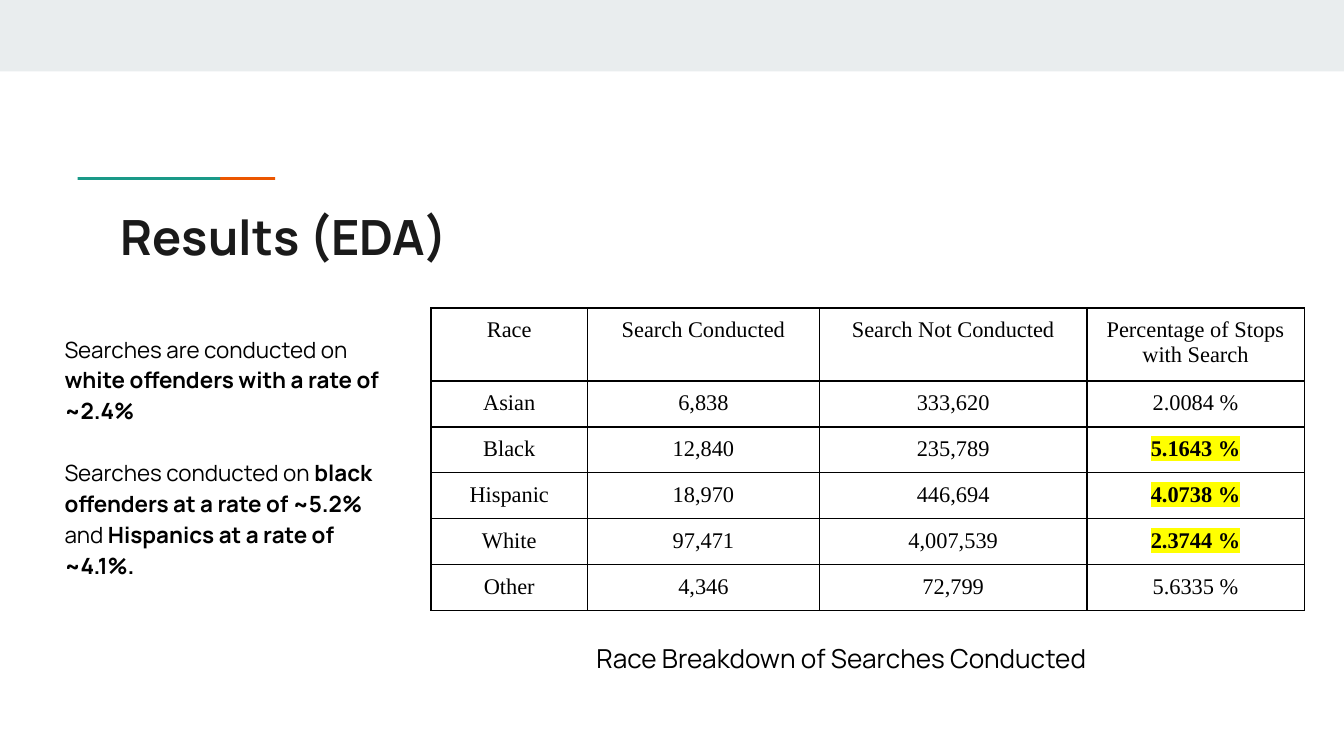
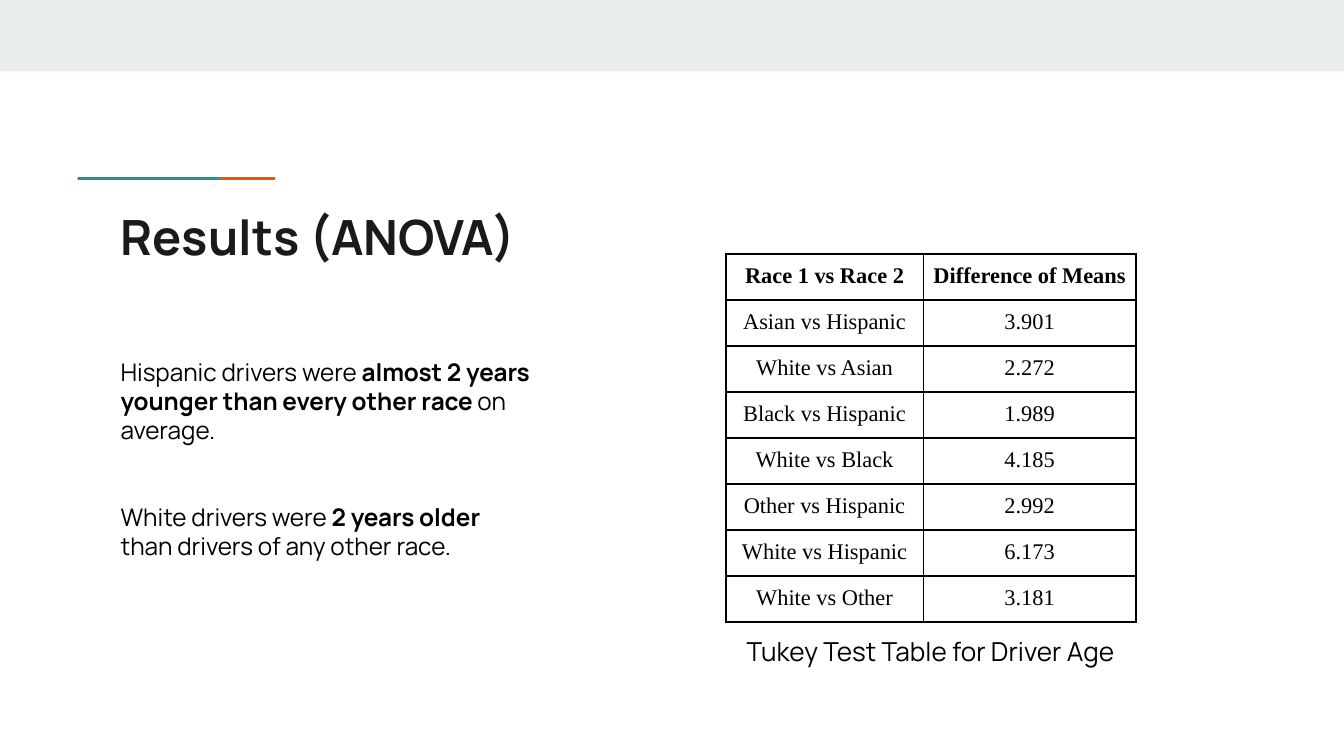
"""Build two slides of traffic stop search results."""
from lxml.etree import SubElement
from pptx import Presentation
from pptx.dml.color import RGBColor
from pptx.enum.shapes import MSO_SHAPE as Preset
from pptx.enum.text import MSO_ANCHOR as Anchor, PP_ALIGN as Align
from pptx.oxml import parse_xml
from pptx.oxml.ns import nsdecls, qn
from pptx.util import Cm, Pt

COLOURS = {
    "band": "E9EDEE",
    "teal": "1A9988",
    "orange": "EB5600",
    "title": "1A1A1A",
    "text": "000000",
    "marker": "FFFF00",
}
SANS, SERIF = "Manrope", "Times New Roman"
PAGE_WIDTH, PAGE_HEIGHT = 25.4, 14.29
ROW_HEIGHT = 0.82
EDGES = ("lnL", "lnR", "lnT", "lnB")


def assign(target, values):
    """Set each named attribute of the target."""
    for name, value in values.items():
        setattr(target, name, value)


def margins(size):
    """Return equal margin values for all four sides."""
    return {f"margin_{side}": Cm(size) for side in ("left", "right", "top", "bottom")}


class Report:
    """Hold the deck, its style and the current page."""

    def __init__(self):
        """Start an empty deck."""
        self.deck = Presentation()
        assign(self.deck, {"slide_width": Cm(PAGE_WIDTH), "slide_height": Cm(PAGE_HEIGHT)})
        self.page = None

    def start_page(self, title):
        """Add a page with the band, accent line and title."""
        self.page = self.deck.slides.add_slide(self.deck.slide_layouts[6])
        self.bar("band", 0, 0, PAGE_WIDTH, 1.35)
        self.bar("orange", 2.51, 3.35, 2.69, 0.05)
        self.bar("teal", 1.47, 3.35, 2.69, 0.05)
        self.text([f"**{title}**"], (2.03, 3.66, 21.36, 1.5), 26, colour="title")

    def bar(self, colour, *place):
        """Draw a plain filled rectangle."""
        shape = self.page.shapes.add_shape(Preset.RECTANGLE, *map(Cm, place))
        shape.shadow.inherit = False
        shape.fill.solid()
        shape.fill.fore_color.rgb = RGBColor.from_string(COLOURS[colour])
        shape.line.fill.background()

    def add_words(self, para, words, size, face=SANS, colour="text", marker=None):
        """Put words into a paragraph, bold between double asterisks."""
        for index, part in enumerate(words.split("**")):
            if not part:
                continue
            span = para.add_run()
            span.text = part
            assign(span.font, {"name": face, "size": Pt(size), "bold": index % 2 == 1})
            span.font.color.rgb = RGBColor.from_string(COLOURS[colour])
            if marker:
                highlight = parse_xml(
                    f'<a:highlight {nsdecls("a")}><a:srgbClr val="{COLOURS[marker]}"/></a:highlight>'
                )
                span.font._element.find(qn("a:solidFill")).addnext(highlight)

    def text(self, paragraphs, place, size, colour="text", gap=0, spacing=1.0, align=Align.LEFT):
        """Add a wrapped text box with a gap between paragraphs."""
        box = self.page.shapes.add_textbox(*map(Cm, place))
        frame = box.text_frame
        assign(frame, {"word_wrap": True, "vertical_anchor": Anchor.TOP, **margins(0.25)})
        for index, words in enumerate(paragraphs):
            para = frame.add_paragraph() if index else frame.paragraphs[0]
            assign(para, {
                "alignment": align,
                "line_spacing": spacing,
                "space_before": Pt(gap if index else 0),
            })
            self.add_words(para, words, size, colour=colour)

    def table(self, rows, left, top, widths, header_height=ROW_HEIGHT, marked=()):
        """Add a ruled table and highlight the marked cells."""
        heights = [header_height] + [ROW_HEIGHT] * (len(rows) - 1)
        size = (left, top, sum(widths), sum(heights))
        grid = self.page.shapes.add_table(len(rows), len(widths), *map(Cm, size)).table
        assign(grid, {"first_row": False, "horz_banding": False})
        for column, width in zip(grid.columns, widths):
            column.width = Cm(width)
        for row, height, values in zip(grid.rows, heights, rows):
            row.height = Cm(height)
            for cell, words in zip(row.cells, values):
                assign(cell, {"vertical_anchor": Anchor.TOP, **margins(0.18)})
                para = cell.text_frame.paragraphs[0]
                para.alignment = Align.CENTER
                marker = "marker" if words in marked else None
                self.add_words(para, words, 12, SERIF, marker=marker)
                self.rule(cell)

    def rule(self, cell):
        """Give a cell black edges and no fill."""
        properties = cell._tc.get_or_add_tcPr()
        for edge in EDGES:
            line = SubElement(properties, qn(f"a:{edge}"), w=str(Pt(1)))
            fill = SubElement(line, qn("a:solidFill"))
            SubElement(fill, qn("a:srgbClr"), val=COLOURS["text"])
        cell.fill.background()


def main():
    """Build and save the deck."""
    report = Report()

    report.start_page("Results (EDA)")
    report.text(
        [
            "Searches are conducted on **white offenders with a rate of ~2.4%**",
            "Searches conducted on** black offenders at a rate of ~5.2% **and "
            "**Hispanics at a rate of ~4.1%.**",
        ],
        (0.97, 6.02, 6.55, 5.23), 12, gap=16.5, spacing=1.15,
    )
    searches = [
        ("Race", "Search Conducted", "Search Not Conducted", "Percentage of Stops with Search"),
        ("Asian", "6,838", "333,620", "2.0084 %"),
        ("Black", "12,840", "235,789", "**5.1643 %**"),
        ("Hispanic", "18,970", "446,694", "**4.0738 %**"),
        ("White", "97,471", "4,007,539", "**2.3744 %**"),
        ("Other", "4,346", "72,799", "5.6335 %"),
    ]
    report.table(
        searches, 8.15, 5.82, (2.95, 4.39, 5.05, 4.11), header_height=1.3,
        marked=[row[-1] for row in searches[2:5]],
    )
    report.text(["Race Breakdown of Searches Conducted"], (11.02, 11.89, 10.74, 0.94), 14)

    report.start_page("Results (ANOVA)")
    report.text(
        ["Tukey Test Table for Driver Age"], (12.37, 11.76, 10.44, 0.97), 14, align=Align.CENTER
    )
    report.table(
        [
            ("**Race 1 vs Race 2**", "**Difference of Means**"),
            ("Asian vs Hispanic", "3.901"),
            ("White vs Asian", "2.272"),
            ("Black vs Hispanic", "1.989"),
            ("White vs Black", "4.185"),
            ("Other vs Hispanic", "2.992"),
            ("White vs Hispanic", "6.173"),
            ("White vs Other", "3.181"),
        ],
        13.72, 4.8, (3.73, 4.02),
    )
    report.text(
        [
            "Hispanic drivers were** almost 2 years younger than every other race** on average.",
            "White drivers were **2 years older** than drivers of any other race.",
        ],
        (2.03, 6.5, 8.33, 4.8), 13, gap=31,
    )

    report.deck.save("out.pptx")


if __name__ == "__main__":
    main()
